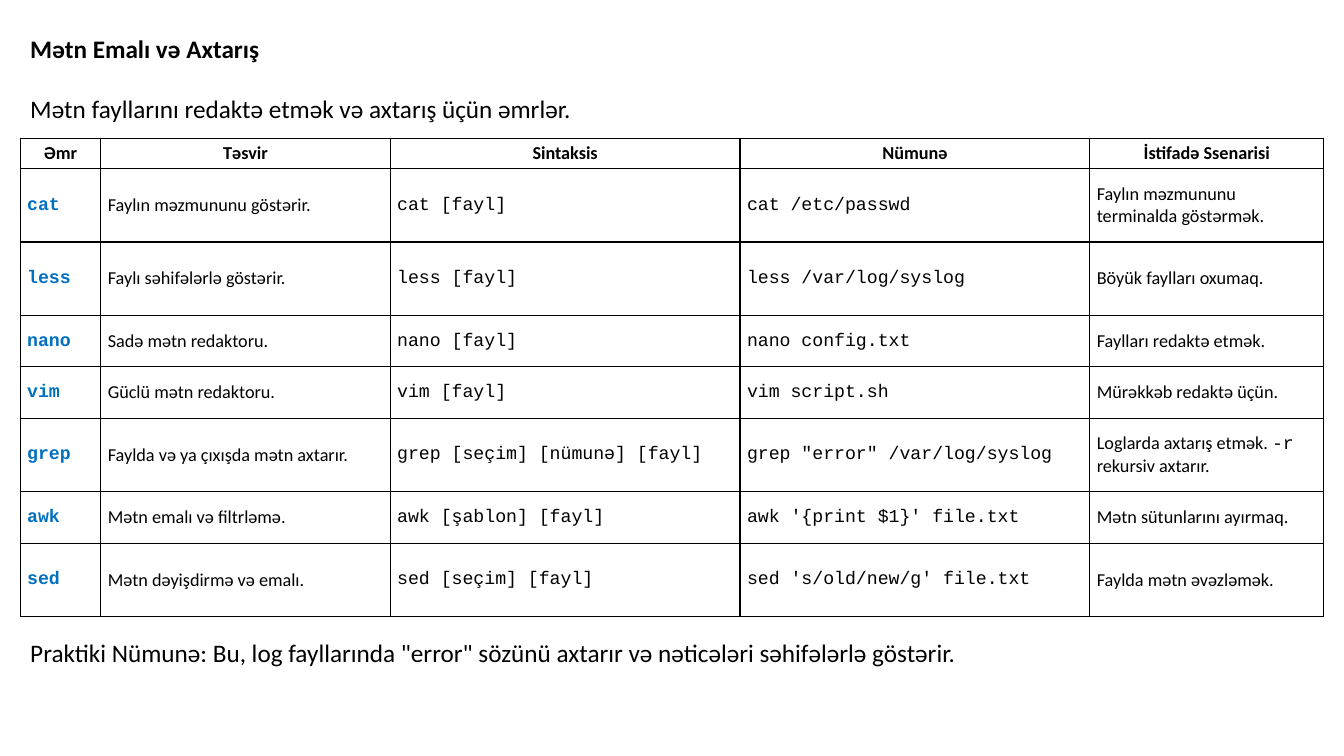
from dataclasses import astuple, dataclass

from lxml.etree import SubElement
from pptx import Presentation
from pptx.dml.color import RGBColor
from pptx.enum.text import MSO_ANCHOR as Anchor, MSO_AUTO_SIZE as AutoSize, PP_ALIGN as Align
from pptx.oxml.ns import qn
from pptx.shapes.placeholder import SlidePlaceholder
from pptx.slide import Slide
from pptx.table import _Cell as Cell
from pptx.text.text import _Paragraph as Paragraph
from pptx.util import Emu, Pt

PX = 9144
BLACK = RGBColor(0x00, 0x00, 0x00)
BLUE = RGBColor(0x00, 0x70, 0xC0)
SANS = "Calibri"
MONO = "Courier New"


def px(length: int) -> Emu:
    return Emu(length * PX)


@dataclass(frozen=True)
class Command:
    name: str
    description: str
    syntax: str
    example: str
    scenario: str


@dataclass(frozen=True)
class Column:
    heading: str
    width: int
    font: str = SANS
    color: RGBColor = BLACK
    bold: bool = False


COLUMNS = (
    Column("Əmr", 80, MONO, BLUE, True),
    Column("Təsvir", 287),
    Column("Sintaksis", 347, MONO),
    Column("Nümunə", 347, MONO),
    Column("İstifadə Ssenarisi", 232),
)
COMMANDS = (
    Command("cat", "Faylın məzmununu göstərir.", "cat [fayl]", "cat /etc/passwd",
            "Faylın məzmununu terminalda göstərmək."),
    Command("less", "Faylı səhifələrlə göstərir.", "less [fayl]", "less /var/log/syslog",
            "Böyük faylları oxumaq."),
    Command("nano", "Sadə mətn redaktoru.", "nano [fayl]", "nano config.txt",
            "Faylları redaktə etmək."),
    Command("vim", "Güclü mətn redaktoru.", "vim [fayl]", "vim script.sh",
            "Mürəkkəb redaktə üçün."),
    Command("grep", "Faylda və ya çıxışda mətn axtarır.", "grep [seçim] [nümunə] [fayl]",
            'grep "error" /var/log/syslog', "Loglarda axtarış etmək. `-r` rekursiv axtarır."),
    Command("awk", "Mətn emalı və filtrləmə.", "awk [şablon] [fayl]",
            "awk '{print $1}' file.txt", "Mətn sütunlarını ayırmaq."),
    Command("sed", "Mətn dəyişdirmə və emalı.", "sed [seçim] [fayl]",
            "sed 's/old/new/g' file.txt", "Faylda mətn əvəzləmək."),
)
ROW_HEIGHTS = (29, 73, 73, 51, 51, 73, 51, 73)
LEFT, WIDTH = 20, 1293


def style(paragraph: Paragraph, size: int, font: str = SANS,
          color: RGBColor = BLACK, bold: bool = False) -> None:
    paragraph.font.size = Pt(size)
    paragraph.font.name = font
    paragraph.font.color.rgb = color
    paragraph.font.bold = bold


def fill_placeholder(holder: SlidePlaceholder, top: int, height: int,
                     lines: tuple[str, ...], bold: bool = False) -> None:
    holder.left, holder.top = px(LEFT), px(top)
    holder.width, holder.height = px(WIDTH), px(height)
    frame = holder.text_frame
    frame.word_wrap = True
    frame.auto_size = AutoSize.NONE
    frame.vertical_anchor = Anchor.TOP
    frame.text = "\n".join(lines)
    for paragraph in frame.paragraphs:
        paragraph.alignment = Align.LEFT
        paragraph.space_before = Pt(0)
        properties = paragraph._p.get_or_add_pPr()
        properties.set("marL", "0")
        properties.set("indent", "0")
        SubElement(properties, qn("a:buNone"))
        style(paragraph, 18, bold=bold)


def outline(cell: Cell) -> None:
    properties = cell._tc.get_or_add_tcPr()
    for position, side in enumerate(("a:lnL", "a:lnR", "a:lnT", "a:lnB")):
        border = SubElement(properties, qn(side), w=str(Pt(1)))
        SubElement(SubElement(border, qn("a:solidFill")), qn("a:srgbClr"), val=str(BLACK))
        properties.insert(position, border)


def fill_cell(cell: Cell, text: str, column: Column, heading: bool) -> None:
    cell.fill.background()
    outline(cell)
    cell.vertical_anchor = Anchor.MIDDLE
    cell.margin_left = cell.margin_right = px(7)
    cell.margin_top = cell.margin_bottom = px(4)
    paragraph = cell.text_frame.paragraphs[0]
    for index, part in enumerate(text.split("`")):
        run = paragraph.add_run()
        run.text = part
        if index % 2:
            run.font.name = MONO
    if heading:
        paragraph.alignment = Align.CENTER
        style(paragraph, 13, bold=True)
    else:
        style(paragraph, 13, column.font, column.color, column.bold)


def add_command_table(slide: Slide) -> None:
    rows = (tuple(column.heading for column in COLUMNS), *map(astuple, COMMANDS))
    commands = slide.shapes.add_table(len(rows), len(COLUMNS), px(LEFT), px(137),
                                      px(WIDTH), px(sum(ROW_HEIGHTS))).table
    commands.first_row = False
    commands.horz_banding = False
    for table_column, column in zip(commands.columns, COLUMNS):
        table_column.width = px(column.width)
    for r, (row, height) in enumerate(zip(rows, ROW_HEIGHTS)):
        commands.rows[r].height = px(height)
        for c, (text, column) in enumerate(zip(row, COLUMNS)):
            fill_cell(commands.cell(r, c), text, column, heading=r == 0)


def main() -> None:
    deck = Presentation()
    deck.slide_width, deck.slide_height = px(1333), px(750)
    slide = deck.slides.add_slide(deck.slide_layouts[1])
    fill_placeholder(slide.shapes.title, 28, 41, ("Mətn Emalı və Axtarış",), bold=True)
    remarks = slide.placeholders[1]
    fill_placeholder(remarks, 88, 586, (
        "Mətn fayllarını redaktə etmək və axtarış üçün əmrlər.",
        'Praktiki Nümunə: Bu, log fayllarında "error" sözünü axtarır və nəticələri '
        "səhifələrlə göstərir.",
    ))
    remarks.text_frame.paragraphs[1].space_before = Pt(367)
    add_command_table(slide)
    deck.save("out.pptx")


if __name__ == "__main__":
    main()
